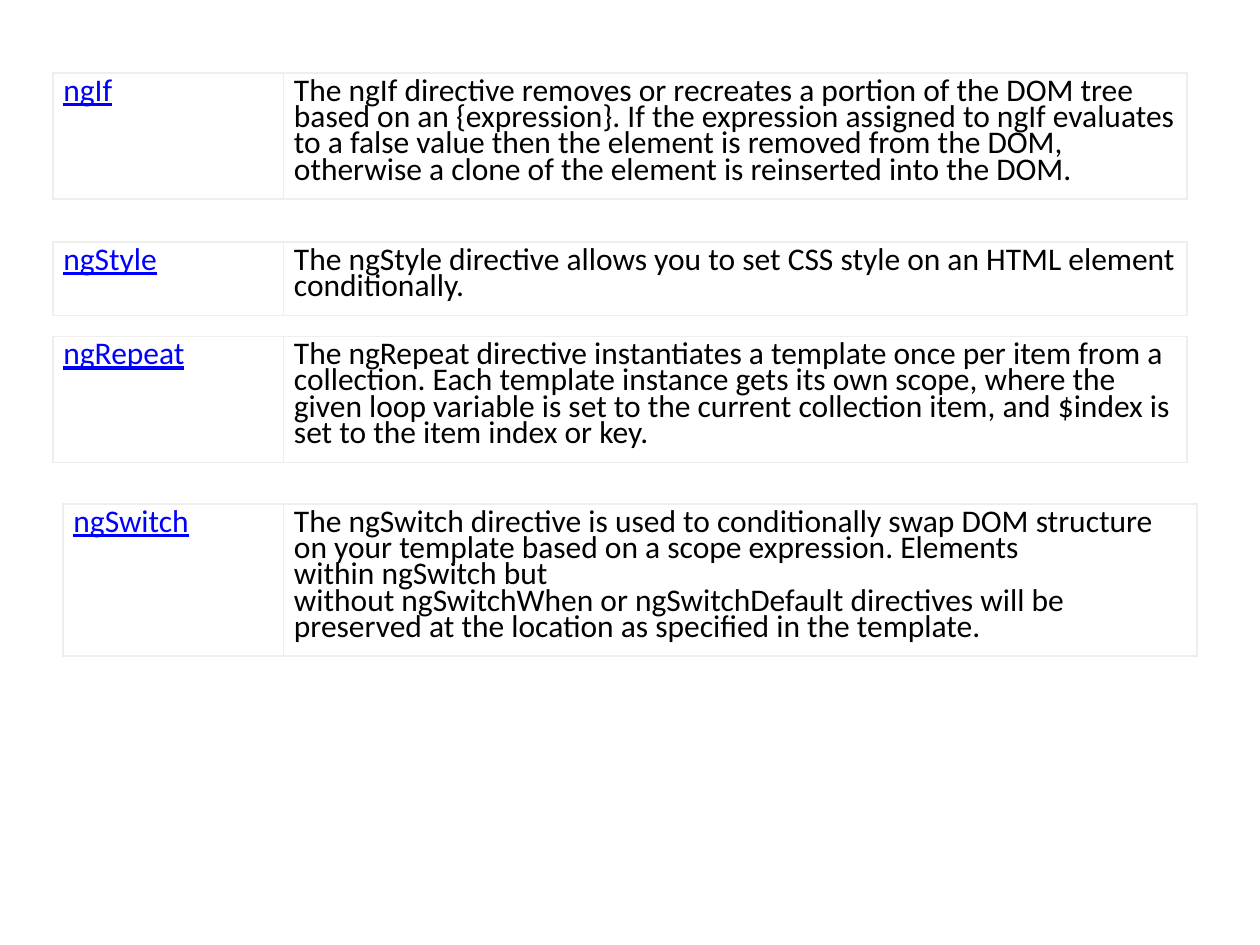
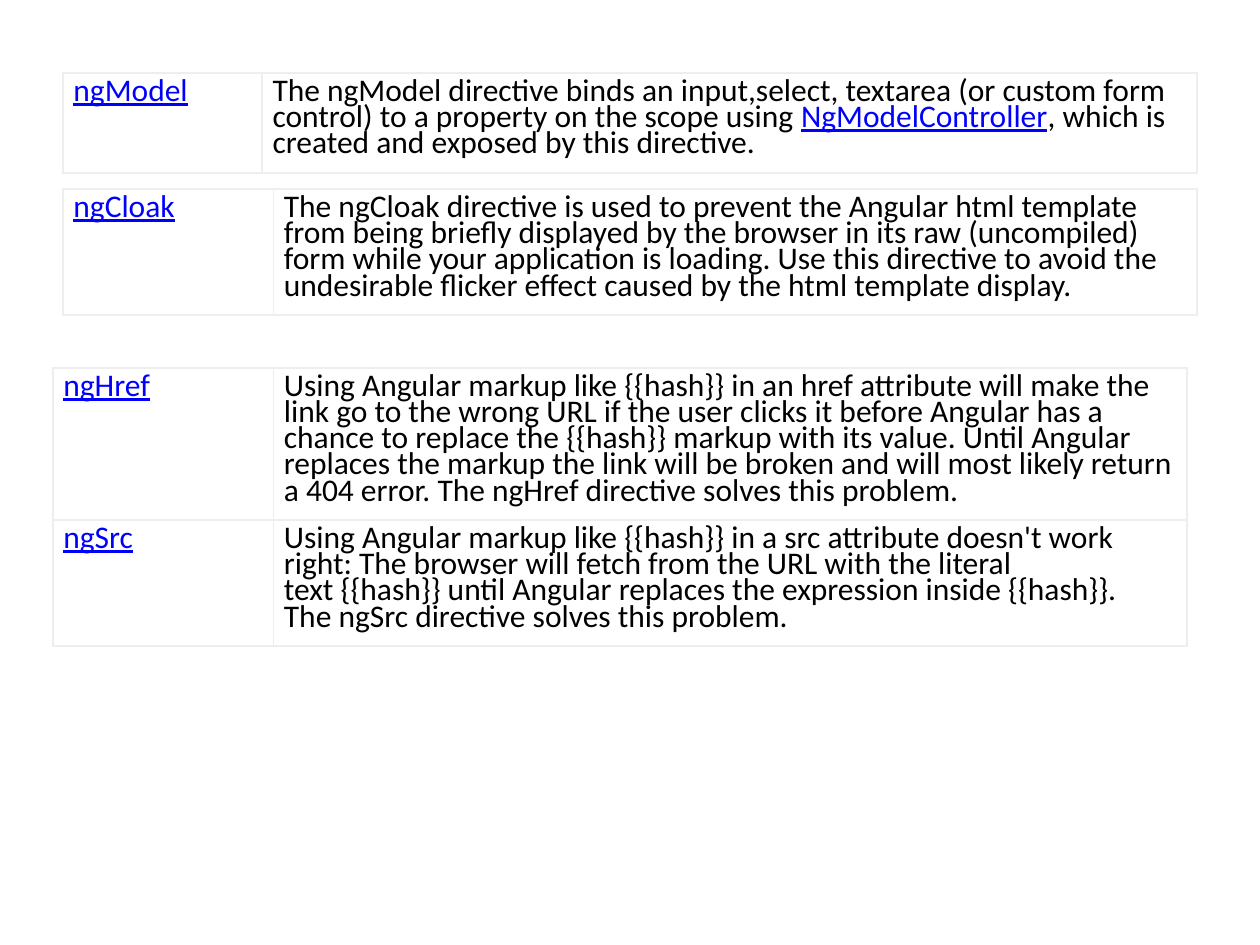
import pptx
import pptx.util
import pptx.dml.color
import pptx.oxml
import pptx.oxml.ns

Inches, Pt = pptx.util.Inches, pptx.util.Pt

COLORS = {"paper": "FFFFFF", "text": "000000", "link": "0000FF", "border": "EEEEEE"}
FONT = "Calibri"
TEXT_SIZE = 18
LINE_PITCH = 15
CELL_MARGIN = 6
TABLE_WIDTH = 9

# In the texts "~" is a no-break space and "|" opens and closes a link.
# A table is (left, top, term column width, rows); a row is (term, text, lines).
BASIC_DIRECTIVES = [
    (0.42, 0.58, 1.83, [
        ("ngIf",
         "The~ngIf~directive removes or recreates a portion of the DOM tree based on an "
         "{expression}. If the expression assigned to~ngIf~evaluates to a false value then "
         "the element is removed from the DOM, otherwise a clone of the element is "
         "reinserted into the DOM.", 4)]),
    (0.42, 1.92, 1.83, [
        ("ngStyle",
         "The~ngStyle~directive allows you to set CSS style on an HTML element "
         "conditionally.", 2)]),
    (0.42, 2.67, 1.83, [
        ("ngRepeat",
         "The~ngRepeat~directive instantiates a template once per item from a collection. "
         "Each template instance gets its own scope, where the given loop variable is set "
         "to the current collection item, and~$index~is set to the item index or key.", 4)]),
    (0.5, 4, 1.75, [
        ("ngSwitch",
         "The~ngSwitch~directive is used to conditionally swap DOM structure on your "
         "template based on a scope expression. Elements within~ngSwitch~but "
         "without~ngSwitchWhen~or~ngSwitchDefault~directives will be preserved at the "
         "location as specified in the template.", 5)]),
]
BINDING_DIRECTIVES = [
    (0.5, 0.58, 1.58, [
        ("ngModel",
         "The~ngModel~directive binds an~input,select,~textarea~(or custom form control) "
         "to a property on the scope using~|NgModelController|, which is created and "
         "exposed by this directive.", 3)]),
    (0.5, 1.5, 1.67, [
        ("ngCloak",
         "The~ngCloak~directive is used to prevent the Angular html template from being "
         "briefly displayed by the browser in its raw (uncompiled) form while your "
         "application is loading. Use this directive to avoid the undesirable flicker "
         "effect caused by the html template display.", 4)]),
    (0.42, 2.92, 1.75, [
        ("ngHref",
         "Using Angular markup like~{{hash}}~in an href attribute will make the link go to "
         "the wrong URL if the user clicks it before Angular has a chance to replace "
         "the~{{hash}}~markup with its value. Until Angular replaces the markup the link "
         "will be broken and will most likely return a 404 error. The~ngHref~directive "
         "solves this problem.", 5),
        ("ngSrc",
         "Using Angular markup like~{{hash}}~in a~src~attribute doesn't work right: The "
         "browser will fetch from the URL with the literal text~{{hash}}~until Angular "
         "replaces the expression inside~{{hash}}. The~ngSrc~directive solves this "
         "problem.", 4)]),
]


def rgb(name):
    return pptx.dml.color.RGBColor.from_string(COLORS[name])


def add_borders(cell):
    properties = cell._tc.get_or_add_tcPr()
    for position, side in enumerate("LRTB"):
        properties.insert(position, pptx.oxml.parse_xml(
            f'<a:ln{side} {pptx.oxml.ns.nsdecls("a")} w="{Pt(1)}"><a:solidFill>'
            f'<a:srgbClr val="{COLORS["border"]}"/></a:solidFill></a:ln{side}>'))


def fill_cell(cell, marked_text):
    cell.fill.solid()
    cell.fill.fore_color.rgb = rgb("paper")
    add_borders(cell)
    cell.margin_left = cell.margin_right = Pt(CELL_MARGIN)
    cell.margin_top = cell.margin_bottom = Pt(CELL_MARGIN)
    para = cell.text_frame.paragraphs[0]
    para.line_spacing = Pt(LINE_PITCH)
    para.space_after = Pt(7.5)
    for index, part in enumerate(marked_text.replace("~", chr(160)).split("|")):
        if not part:
            continue
        is_link = index % 2 == 1
        span = para.add_run()
        span.text = part
        span.font.name = FONT
        span.font.size = Pt(TEXT_SIZE)
        span.font.underline = is_link
        span.font.color.rgb = rgb("link" if is_link else "text")


def add_directive_table(page, left, top, term_width, rows):
    heights = [Pt(lines * LINE_PITCH + 2 * CELL_MARGIN) for _, _, lines in rows]
    frame = page.shapes.add_table(len(rows), 2, Inches(left), Inches(top),
                                  Inches(TABLE_WIDTH), sum(heights))
    table = frame.table
    table.first_row = table.horz_banding = False
    table.columns[0].width = Inches(term_width)
    table.columns[1].width = Inches(TABLE_WIDTH - term_width)
    for index, (term, text, _) in enumerate(rows):
        table.rows[index].height = heights[index]
        fill_cell(table.cell(index, 0), f"|{term}|")
        fill_cell(table.cell(index, 1), text)


def add_directive_page(deck, tables):
    page = deck.slides.add_slide(deck.slide_layouts[6])
    page.background.fill.solid()
    page.background.fill.fore_color.rgb = rgb("paper")
    for table in tables:
        add_directive_table(page, *table)


def main():
    deck = pptx.Presentation()
    deck.slide_width, deck.slide_height = Inches(10), Inches(7.5)
    for tables in (BASIC_DIRECTIVES, BINDING_DIRECTIVES):
        add_directive_page(deck, tables)
    deck.save("out.pptx")


if __name__ == "__main__":
    main()
